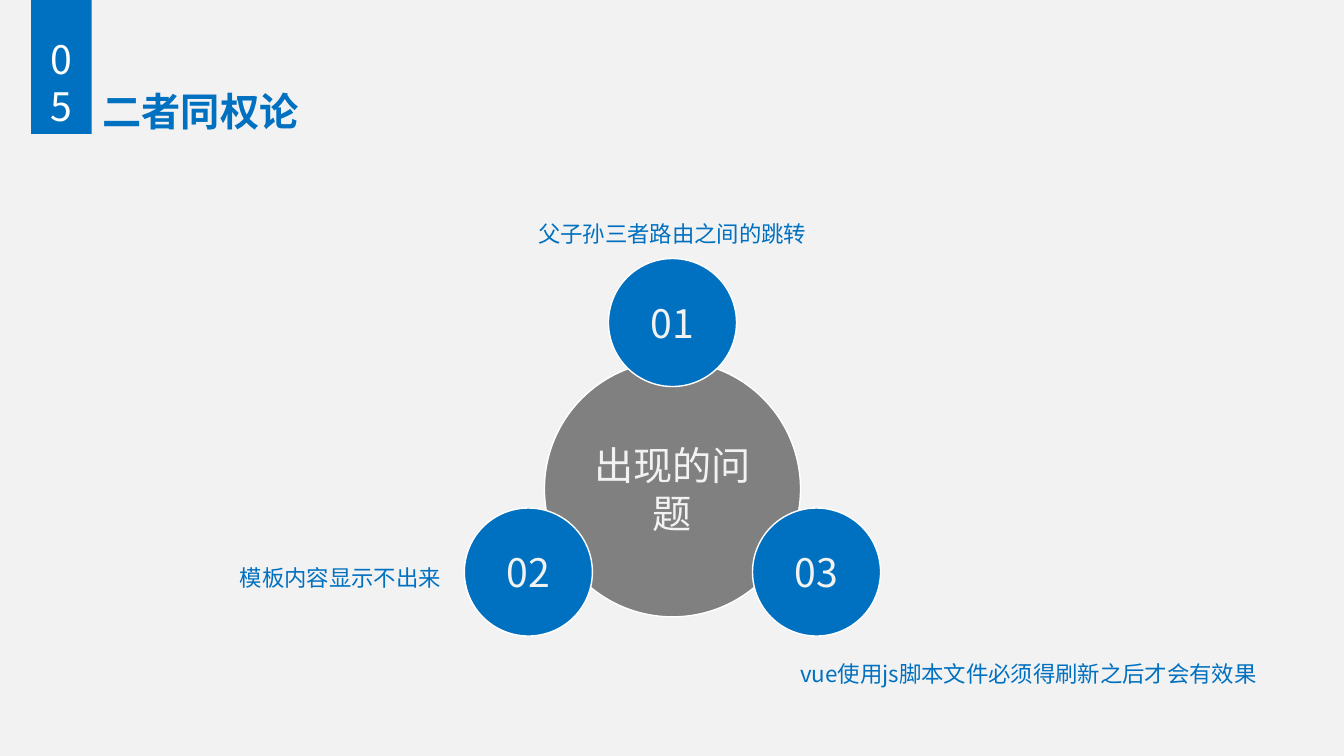
import math

from pptx import Presentation
from pptx.dml.color import RGBColor
from pptx.enum import shapes, text
from pptx.oxml.ns import qn
from pptx.util import Inches, Pt

BLUE, GRAY, LIGHT, WHITE = "0070C0", "808080", "F2F2F2", "FFFFFF"
CJK_FONT = "Noto Sans CJK SC"


def paint(color_format, color):
    """Set the solid colour of a fill or font from a hex string."""
    if hasattr(color_format, "solid"):
        color_format.solid()
        color_format = color_format.fore_color
    color_format.rgb = RGBColor.from_string(color)


def write(shape, wording, size, color, align, anchor, font=CJK_FONT, bold=False):
    """Put one styled run into the shape and return its paragraph."""
    frame = shape.text_frame
    frame.word_wrap = True
    frame.vertical_anchor = anchor
    paragraph = frame.paragraphs[0]
    paragraph.alignment = align
    run = paragraph.add_run()
    run.text = wording
    run.font.size = Pt(size)
    run.font.bold = bold
    run.font.name = font
    paint(run.font.color, color)
    east_asian = run.font._element.makeelement(qn("a:ea"), {"typeface": CJK_FONT})
    run.font._element.find(qn("a:latin")).addnext(east_asian)
    return paragraph


presentation = Presentation()
presentation.slide_width = Inches(13.33)
presentation.slide_height = Inches(7.5)
slide = presentation.slides.add_slide(presentation.slide_layouts[6])
paint(slide.background.fill, LIGHT)

LEFT, CENTER = text.PP_ALIGN.LEFT, text.PP_ALIGN.CENTER
TOP, MIDDLE, BOTTOM = text.MSO_ANCHOR.TOP, text.MSO_ANCHOR.MIDDLE, text.MSO_ANCHOR.BOTTOM

# Heading
title = slide.shapes.add_textbox(Inches(0.92), Inches(0.4), Inches(11.5), Inches(1.45))
paragraph = write(title, "二者同权论", 28, BLUE, LEFT, MIDDLE, "Calibri", True)
paragraph.line_spacing = 0.9

section_tab = slide.shapes.add_shape(
    shapes.MSO_SHAPE.RECTANGLE, Inches(0.31), 0, Inches(0.6), Inches(1.33))
section_tab.shadow.inherit = False
paint(section_tab.fill, BLUE)
section_tab.line.fill.background()
write(section_tab, "05", 28, WHITE, CENTER, BOTTOM)

# Hub with three circles at equal angles around it
HUB_X, HUB_Y, ORBIT = 6.67, 4.85, 1.65
circles = [("出现的问题", HUB_X, HUB_Y, 2.54, GRAY)]
for number, angle in (("01", 90), ("03", -30), ("02", 210)):
    x = HUB_X + ORBIT * math.cos(math.radians(angle))
    y = HUB_Y - ORBIT * math.sin(math.radians(angle))
    circles.append((number, x, y, 1.27, BLUE))

for wording, x, y, diameter, color in circles:
    circle = slide.shapes.add_shape(
        shapes.MSO_SHAPE.OVAL, Inches(x - diameter / 2), Inches(y - diameter / 2),
        Inches(diameter), Inches(diameter))
    circle.shadow.inherit = False
    paint(circle.fill, color)
    paint(circle.line.fill, WHITE)
    circle.line.width = Pt(1)
    frame = circle.text_frame
    frame.margin_left = frame.margin_right = 0
    frame.margin_top = frame.margin_bottom = Inches(0.04)
    write(circle, wording, 28, LIGHT, CENTER, MIDDLE)

# Labels beside the circles
labels = [
    ("模板内容显示不出来", 2.28, 5.55, 2.2, 0.37, 1),
    ("vue使用js脚本文件必须得刷新之后才会有效果", 7.84, 6.5, 4.74, 0.37, 1),
    ("父子孙三者路由之间的跳转", 5.24, 2, 2.87, 0.5, 1.5),
]
for wording, left, top, width, height, spacing in labels:
    label = slide.shapes.add_textbox(Inches(left), Inches(top), Inches(width), Inches(height))
    paragraph = write(label, wording, 16, BLUE, LEFT, TOP)
    paragraph.line_spacing = float(spacing)

presentation.save("out.pptx")
